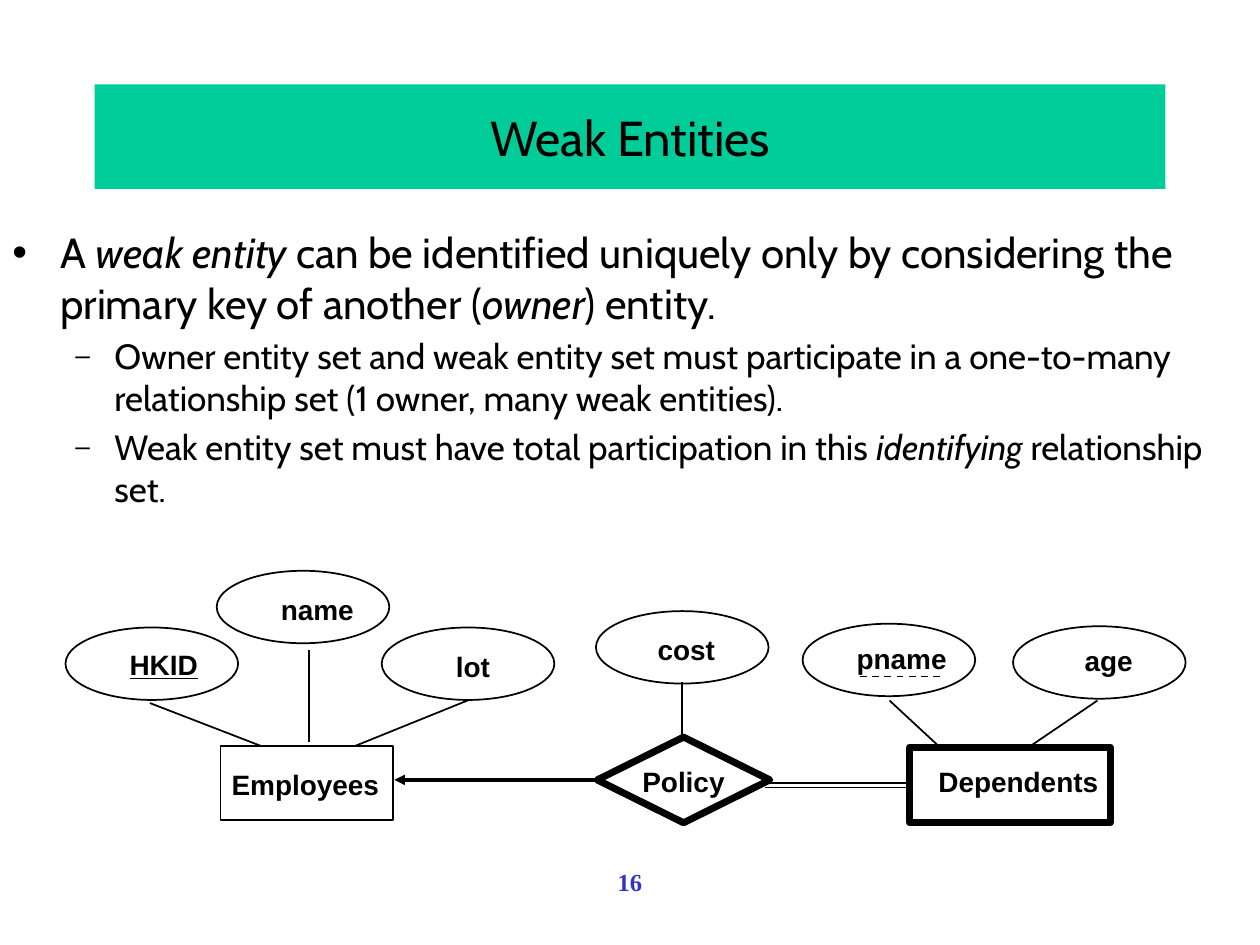
from lxml.etree import SubElement
from pptx import Presentation
from pptx.dml.color import RGBColor
from pptx.enum.dml import MSO_LINE_DASH_STYLE as Dash
from pptx.enum.shapes import MSO_CONNECTOR as Connector, MSO_SHAPE as Shape
from pptx.enum.text import MSO_ANCHOR as Anchor, PP_ALIGN as Align
from pptx.oxml.ns import qn
from pptx.util import Inches, Pt

BLACK = RGBColor(0x00, 0x00, 0x00)
GREEN = RGBColor(0x00, 0xCC, 0x99)
BLUE = RGBColor(0x33, 0x33, 0xCC)
COLUMNS, ROWS = 100, 75
OVAL_WIDTH, OVAL_HEIGHT = 13.7, 5.75
LABEL_HEIGHT = 3.6
TITLE_ONLY = 5

BULLETS = [
    (0, "A *weak entity *can be identified uniquely only by considering "
        "the primary key of another (*owner*) entity."),
    (1, "Owner entity set and weak entity set must participate in a one-to-many "
        "relationship set (1 owner, many weak entities)."),
    (1, "Weak entity set must have total participation in this *identifying *relationship set."),
]
LEVELS = [
    {"size": 24, "margin": 0.38, "hanging": 0.38, "mark": "•", "scale": 100},
    {"size": 20, "margin": 0.81, "hanging": 0.31, "mark": "–", "scale": 75},
]
ATTRIBUTES = [(63.7, 49.5), (80.4, 49.7), (5.2, 49.8), (30.3, 49.8), (47.3, 48.5), (17.2, 45.3)]
NODES = [
    (Shape.RECTANGLE, (72.2, 59.3, 15.9, 6), 4),
    (Shape.RECTANGLE, (17.5, 59.2, 13.7, 5.9), 1),
    (Shape.DIAMOND, (47.4, 58.5, 13.7, 6.8), 4),
]
LABELS = [
    ("lot", 35.2, 51.1, 4.7),
    ("name", 21.3, 46.5, 7.8),
    ("age", 85.1, 50.6, 5.8),
    ("pname", 67, 50.4, 9.1),
    ("Dependents", 73.5, 60.2, 14.7),
    ("Employees", 17.4, 60.4, 13.7),
    ("HKID", 9.3, 50.9, 7.4),
    ("Policy", 50, 60.2, 8.5),
    ("cost", 51.2, 49.7, 6.5),
]
KEY_LABEL = "HKID"
LINKS = [
    (24.5, 51.6, 24.5, 58.9),
    (11.9, 55.8, 20.7, 59.2),
    (37.1, 55.6, 28.2, 59.2),
    (54.1, 58.6, 54.1, 54.1),
    (70.6, 55.6, 74.7, 59.4),
    (87.1, 55.6, 81.5, 59.4),
    (72.3, 62.15, 61, 62.15),
    (72, 62.5, 60.7, 62.5),
]


class SlideBuilder:
    text_font, label_font, number_font = "Cabin", "Arial", "Times New Roman"

    def __init__(self, deck):
        self.column = deck.slide_width / COLUMNS
        self.row = deck.slide_height / ROWS
        self.slide = deck.slides.add_slide(deck.slide_layouts[TITLE_ONLY])
        self.shapes = self.slide.shapes

    def place(self, left, top, width, height):
        return (round(left * self.column), round(top * self.row),
                round(width * self.column), round(height * self.row))

    def style(self, span, font, size, color=BLACK, **flags):
        span.font.name, span.font.size = font, Pt(size)
        span.font.color.rgb = color
        for flag, value in flags.items():
            setattr(span.font, flag, value)

    def title(self, text, area):
        box = self.shapes.title
        box.left, box.top, box.width, box.height = self.place(*area)
        box.fill.solid()
        box.fill.fore_color.rgb = GREEN
        box.text_frame.text = text
        box.text_frame.vertical_anchor = Anchor.MIDDLE
        para = box.text_frame.paragraphs[0]
        para.alignment = Align.CENTER
        self.style(para.runs[0], self.text_font, 28)

    def text_box(self, text, area):
        frame = self.shapes.add_textbox(*self.place(*area)).text_frame
        frame.word_wrap = True
        frame.text = text
        return frame

    def bullets(self, items, area):
        frame = self.text_box("", area)
        for index, (level, text) in enumerate(items):
            para = frame.add_paragraph() if index else frame.paragraphs[0]
            look = LEVELS[level]
            para.level = level
            properties = para._p.get_or_add_pPr()
            properties.set("marL", str(Inches(look["margin"])))
            properties.set("indent", str(-Inches(look["hanging"])))
            SubElement(properties, qn("a:buSzPct"), val=str(look["scale"] * 1000))
            SubElement(properties, qn("a:buFont"), typeface=self.label_font)
            SubElement(properties, qn("a:buChar"), char=look["mark"])
            if index:
                para.space_before = Pt(look["size"] * 0.2)
            for part, words in enumerate(text.split("*")):
                span = para.add_run()
                span.text = words
                self.style(span, self.text_font, look["size"], italic=part % 2 == 1)

    def label(self, text, left, top, width):
        frame = self.text_box(text, (left, top, width, LABEL_HEIGHT))
        frame.margin_right = 0
        self.style(frame.paragraphs[0].runs[0], self.label_font, 16,
                   bold=True, underline=text == KEY_LABEL)

    def number(self, text, area):
        para = self.text_box(text, area).paragraphs[0]
        para.alignment = Align.CENTER
        self.style(para.runs[0], self.number_font, 14, BLUE, bold=True)

    def outline(self, kind, area, weight=1):
        shape = self.shapes.add_shape(kind, *self.place(*area))
        shape.shadow.inherit = False
        shape.fill.background()
        shape.line.color.rgb = BLACK
        shape.line.width = Pt(weight)

    def link(self, start_x, start_y, end_x, end_y, weight=1, dash=None, arrow=False):
        ends = self.place(start_x, start_y, end_x, end_y)
        line = self.shapes.add_connector(Connector.STRAIGHT, *ends)
        line.line.color.rgb = BLACK
        line.line.width = Pt(weight)
        if dash:
            line.line.dash_style = dash
        if arrow:
            SubElement(line.line._get_or_add_ln(), qn("a:headEnd"), type="triangle")
        SubElement(line._element.spPr, qn("a:effectLst"))


def main():
    deck = Presentation()
    deck.slide_width, deck.slide_height = Inches(10), Inches(7.5)
    page = SlideBuilder(deck)
    page.number("16", (5, 68.3, 90, 5))
    page.title("Weak Entities", (7.5, 6.7, 85, 8.3))
    page.bullets(BULLETS, (0, 17.5, 99.2, 30))
    for left, top in ATTRIBUTES:
        page.outline(Shape.OVAL, (left, top, OVAL_WIDTH, OVAL_HEIGHT))
    for kind, area, weight in NODES:
        page.outline(kind, area, weight)
    for label in LABELS:
        page.label(*label)
    page.link(74.6, 53.7, 68, 53.7, dash=Dash.DASH)
    for ends in LINKS:
        page.link(*ends)
    page.link(31.3, 61.9, 47.3, 61.9, weight=2, arrow=True)
    deck.save("out.pptx")


if __name__ == "__main__":
    main()
